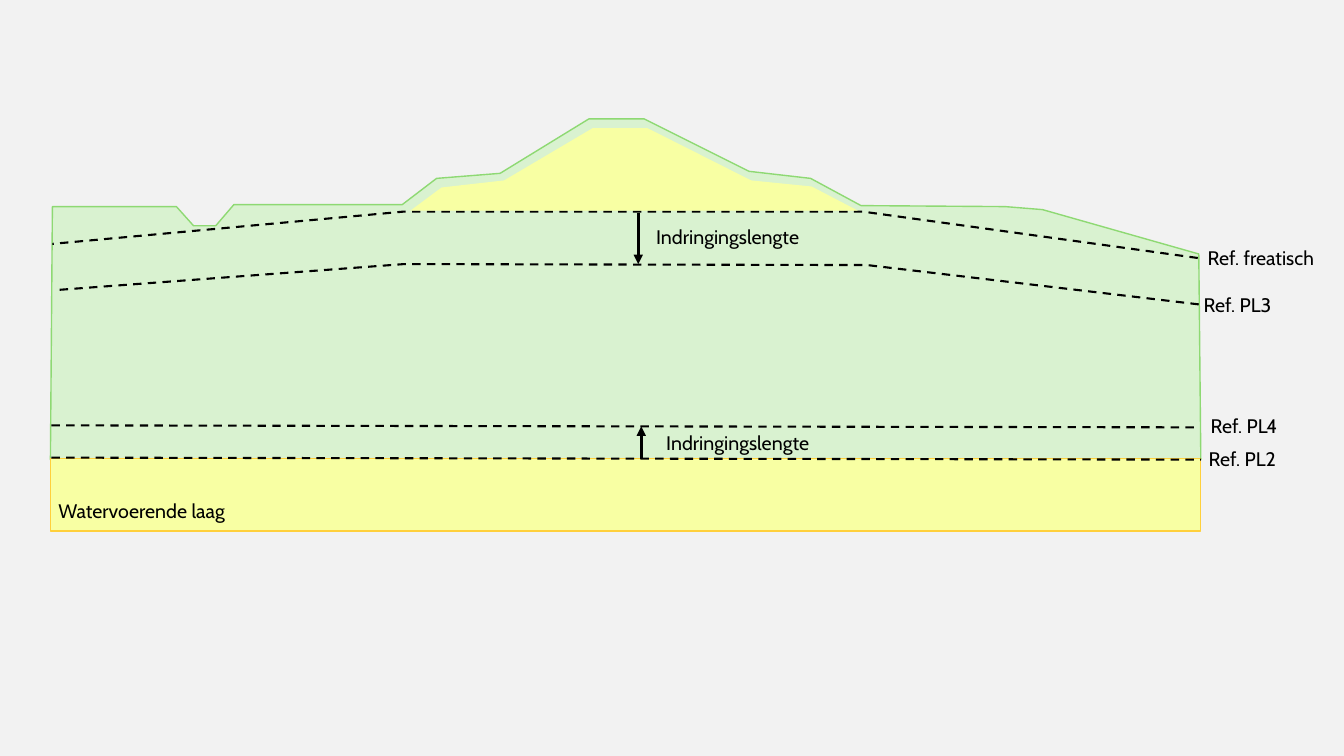
from dataclasses import dataclass
from typing import Optional

from lxml.etree import SubElement
from pptx import Presentation
from pptx.dml.color import RGBColor
from pptx.enum.dml import MSO_LINE
from pptx.enum.shapes import MSO_CONNECTOR as Connector, MSO_SHAPE as Shape
from pptx.enum.text import MSO_AUTO_SIZE as AutoSize, PP_ALIGN as Align
from pptx.oxml.ns import qn
from pptx.util import Inches, Pt

COLORS = {
    "background": "F2F2F2",
    "clay": "D9F2D0",
    "clay_edge": "8ED973",
    "sand": "F8FFA3",
    "sand_edge": "FFD03B",
    "ink": "000000",
}
FONT = "Cabin"
Point = tuple[float, float]


@dataclass
class Outline:
    points: list[Point]
    fill: Optional[str] = None
    edge: Optional[str] = None
    width: float = 1
    dashed: bool = False


@dataclass
class Line:
    start: Point
    end: Point
    width: float = 1.5
    arrow: bool = False


@dataclass
class Label:
    text: str
    left: float
    top: float
    width: float


def color(name: str) -> RGBColor:
    return RGBColor.from_string(COLORS[name])


def paint(shape, fill: Optional[str], edge: Optional[str], width: float) -> None:
    shape.shadow.inherit = False
    if fill:
        shape.fill.solid()
        shape.fill.fore_color.rgb = color(fill)
    else:
        shape.fill.background()
    if edge:
        shape.line.color.rgb = color(edge)
        shape.line.width = Pt(width)
    else:
        shape.line.fill.background()


def draw_outline(page, outline: Outline) -> None:
    first, *rest = [(Inches(x), Inches(y)) for x, y in outline.points]
    builder = page.shapes.build_freeform(*first)
    builder.add_line_segments(rest, close=outline.fill is not None)
    shape = builder.convert_to_shape()
    paint(shape, outline.fill, outline.edge, outline.width)
    if outline.dashed:
        shape.line.dash_style = MSO_LINE.DASH


def draw_line(page, line: Line) -> None:
    ends = [Inches(value) for value in (*line.start, *line.end)]
    connector = page.shapes.add_connector(Connector.STRAIGHT, *ends)
    connector.line.color.rgb = color("ink")
    connector.line.width = Pt(line.width)
    if line.arrow:
        SubElement(connector.line._get_or_add_ln(), qn("a:tailEnd"), type="triangle")
    else:
        connector.line.dash_style = MSO_LINE.DASH
    SubElement(connector._element.spPr, qn("a:effectLst"))


def draw_label(page, label: Label) -> None:
    box = page.shapes.add_textbox(
        Inches(label.left), Inches(label.top), Inches(label.width), Inches(0.34)
    )
    frame = box.text_frame
    frame.word_wrap = True
    frame.auto_size = AutoSize.SHAPE_TO_FIT_TEXT
    para = frame.paragraphs[0]
    para.alignment = Align.LEFT
    span = para.add_run()
    span.text = label.text
    span.font.name = FONT
    span.font.size = Pt(14)
    span.font.color.rgb = color("ink")


CLAY_BODY = Outline(
    [(0.5, 4.56), (11.91, 4.56), (11.89, 2.52), (10.34, 2.08), (9.97, 2.05),
     (8.54, 2.04), (8.04, 1.77), (7.43, 1.7), (6.39, 1.18), (5.84, 1.18),
     (4.96, 1.72), (4.33, 1.77), (3.99, 2.03), (2.32, 2.03), (2.14, 2.24),
     (1.92, 2.24), (1.75, 2.05), (0.52, 2.05)],
    fill="clay", edge="clay_edge",
)
PHREATIC_LEVEL = Outline(
    [(11.88, 2.56), (8.56, 2.1), (4, 2.1), (0.52, 2.42)],
    edge="ink", width=1.5, dashed=True,
)
PL3_LEVEL = Outline(
    [(11.89, 3.02), (8.6, 2.63), (4.01, 2.62), (0.53, 2.88)],
    edge="ink", width=1.5, dashed=True,
)
SAND_CORE = Outline(
    [(5.88, 1.27), (6.42, 1.27), (7.45, 1.79), (8.05, 1.85), (8.51, 2.09),
     (4.07, 2.09), (4.38, 1.86), (5, 1.79)],
    fill="sand",
)
LINES = [
    Line((0.51, 4.22), (11.9, 4.24)),
    Line((0.51, 4.54), (11.91, 4.56)),
    Line((6.33, 2.11), (6.33, 2.62), 2.25, arrow=True),
    Line((6.36, 4.55), (6.36, 4.23), 2.25, arrow=True),
]
LABELS = [
    Label("Watervoerende laag", 0.48, 4.9, 1.91),
    Label("Ref. PL2", 11.89, 4.38, 1.13),
    Label("Ref. PL4", 11.91, 4.06, 1.24),
    Label("Ref. freatisch", 11.88, 2.39, 1.34),
    Label("Ref. PL3", 11.84, 2.86, 1.41),
    Label("Indringingslengte", 6.41, 2.18, 1.73),
    Label("Indringingslengte", 6.51, 4.23, 1.73),
]


def main() -> None:
    deck = Presentation()
    deck.slide_width, deck.slide_height = Inches(13.33), Inches(7.5)
    page = deck.slides.add_slide(deck.slide_layouts[6])
    page.background.fill.solid()
    page.background.fill.fore_color.rgb = color("background")

    # Soil layers, with the aquifer at the bottom
    draw_outline(page, CLAY_BODY)
    aquifer = page.shapes.add_shape(
        Shape.RECTANGLE, Inches(0.5), Inches(4.55), Inches(11.41), Inches(0.72)
    )
    paint(aquifer, "sand", "sand_edge", 1)

    # Water levels and the dike core
    for outline in (PHREATIC_LEVEL, PL3_LEVEL, SAND_CORE):
        draw_outline(page, outline)

    # Straight levels and penetration arrows
    for line in LINES:
        draw_line(page, line)

    # Labels
    for label in LABELS:
        draw_label(page, label)

    deck.save("out.pptx")


if __name__ == "__main__":
    main()
